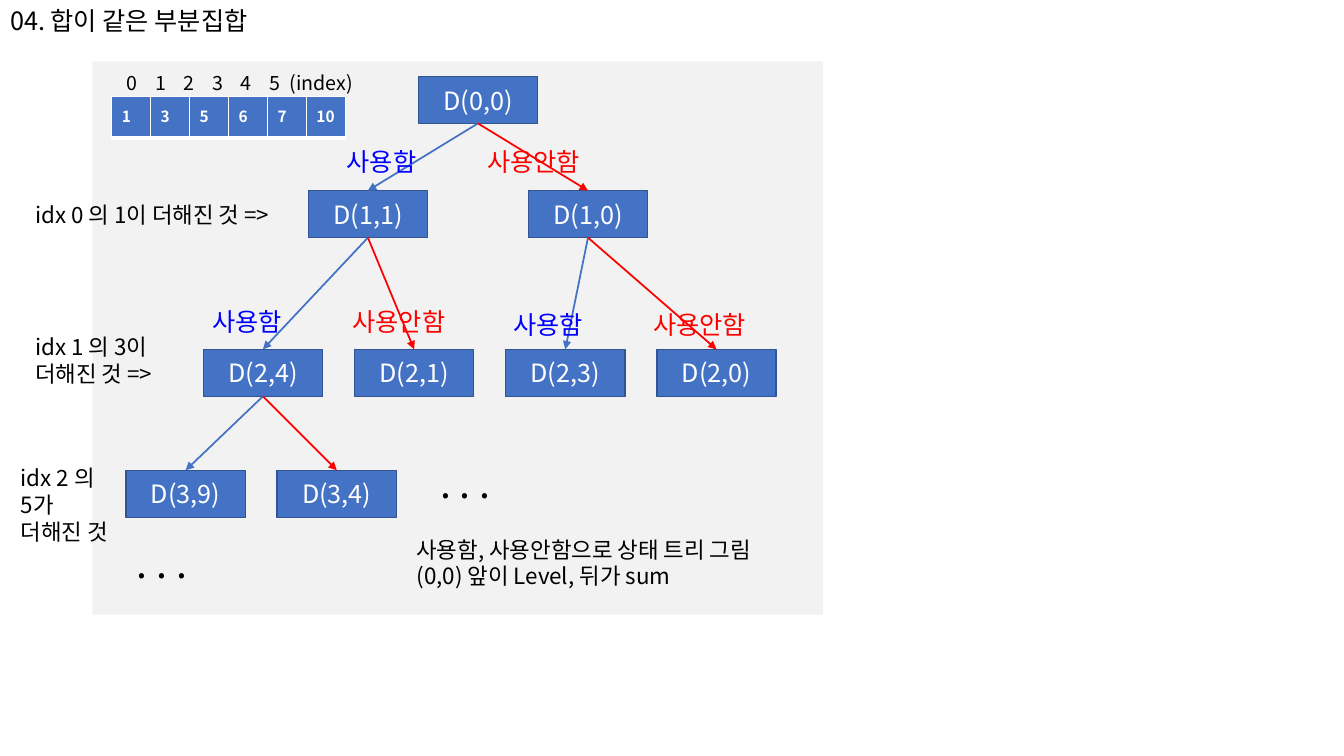
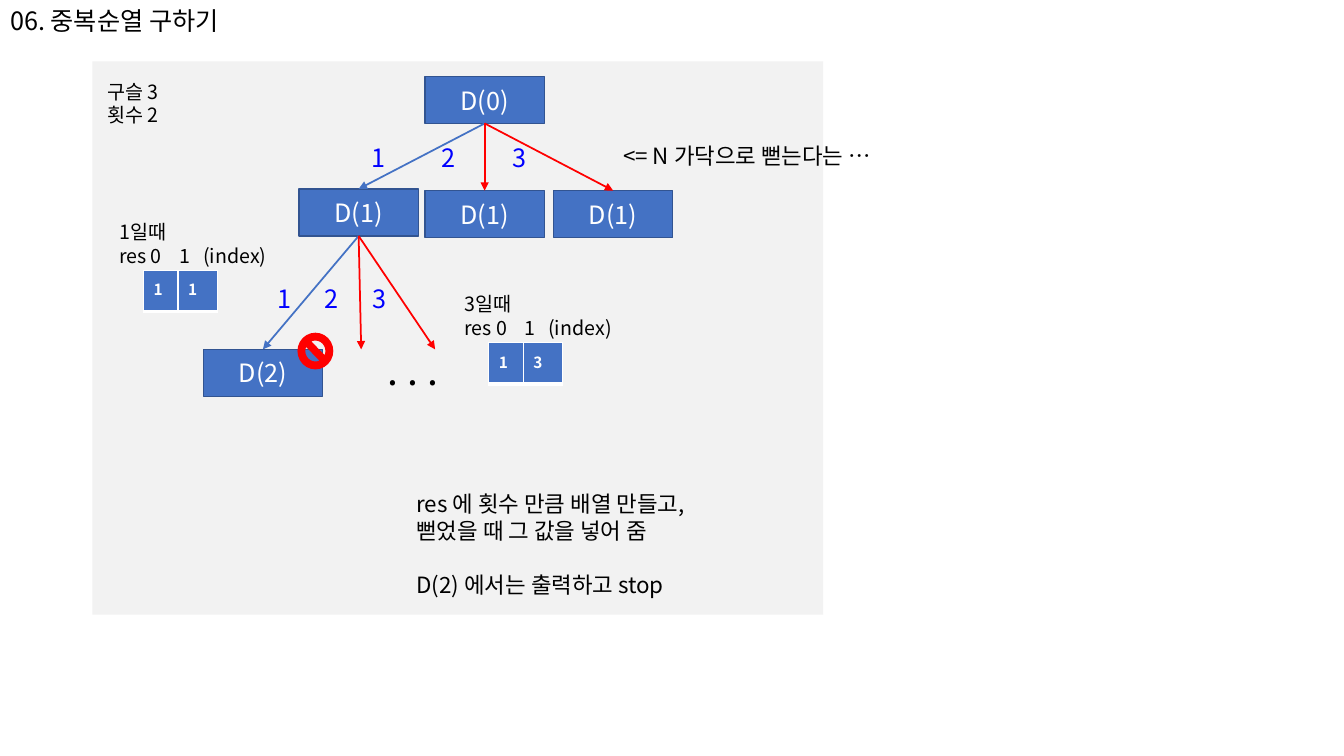
import lxml.etree
import pptx
import pptx.dml.color
import pptx.enum.shapes
import pptx.enum.text
import pptx.oxml.ns
import pptx.util

RGB = pptx.dml.color.RGBColor
SHAPE = pptx.enum.shapes.MSO_SHAPE
ALIGN = pptx.enum.text.PP_ALIGN
ANCHOR = pptx.enum.text.MSO_ANCHOR
Pt = pptx.util.Pt
qn = pptx.oxml.ns.qn

WHITE = RGB(0xFF, 0xFF, 0xFF)
BLACK = RGB(0, 0, 0)
GREY = RGB(0xF2, 0xF2, 0xF2)
STEEL = RGB(0x44, 0x72, 0xC4)
NAVY = RGB(0x32, 0x54, 0x91)
BLUE = RGB(0, 0, 0xFF)
RED = RGB(0xFF, 0, 0)

FONT = "Noto Sans CJK KR"
WIDTH, HEIGHT = pptx.util.Inches(13.33), pptx.util.Inches(7.5)
COLS = 160
NODE = 14.2, 5.6
DOTS = ". . ."


def grid(*cells):
    """Turn grid cells into lengths."""
    return [round(cell * WIDTH / COLS) for cell in cells]


def add(root, tag, **attrs):
    """Append an XML child with attributes."""
    node = lxml.etree.SubElement(root, qn(tag))
    for key, value in attrs.items():
        node.set(key, str(value))
    return node


def write(frame, text, size, color=BLACK, bold=False, align=ALIGN.LEFT, tabs=()):
    """Fill a text frame with evenly styled lines."""
    frame.text = text
    for para in frame.paragraphs:
        para.alignment = align
        para.line_spacing = Pt(size * 1.2)
        para.space_before = Pt(0)
        font = para.font
        font.size, font.bold, font.name = Pt(size), bold, FONT
        font.color.rgb = color
        base = para._p.pPr.find(qn("a:defRPr"))
        add(base, "a:ea", typeface=FONT)
        if tabs:
            stops = add(para._p.pPr, "a:tabLst")
            for stop in grid(*tabs):
                add(stops, "a:tab", pos=stop, algn="l")
            base.addprevious(stops)


def label(slide, x, y, w, text, size=16, color=BLACK, tabs=()):
    """Add a plain text box."""
    rows = text.count("\n") + 1
    box = slide.shapes.add_textbox(*grid(x, y, w, 1.2 + rows * size / 5))
    box.text_frame.word_wrap = True
    write(box.text_frame, text, size, color, tabs=tabs)
    return box.text_frame


def block(slide, kind, x, y, w, h, fill, line=None):
    """Add a flat filled shape."""
    shape = slide.shapes.add_shape(kind, *grid(x, y, w, h))
    shape.shadow.inherit = False
    shape.fill.solid()
    shape.fill.fore_color.rgb = fill
    if line is None:
        shape.line.fill.background()
    else:
        shape.line.color.rgb = line
        shape.line.width = Pt(1)
    return shape


def state(slide, x, y, text):
    """Add one state box of the tree."""
    shape = block(slide, SHAPE.RECTANGLE, x, y, *NODE, STEEL, NAVY)
    shape.text_frame.vertical_anchor = ANCHOR.MIDDLE
    write(shape.text_frame, text, 18, WHITE, align=ALIGN.CENTER)
    return shape


def arrow(slide, start, end, color):
    """Draw an arrow from a state to a state or a grid point."""
    point = grid(*end) if isinstance(end, tuple) else (end.left, end.top)
    kind = pptx.enum.shapes.MSO_CONNECTOR.STRAIGHT
    link = slide.shapes.add_connector(kind, 0, 0, *point)
    link.begin_connect(start, 2)
    if not isinstance(end, tuple):
        link.end_connect(end, 0)
    link.line.color.rgb = color
    link.line.width = Pt(1.25)
    add(link.line._get_or_add_ln(), "a:tailEnd", type="triangle")
    add(link._element.spPr, "a:effectLst")


def fan(slide, start, ends):
    """Draw a blue arrow to the first end and red ones to the rest."""
    for i, end in enumerate(ends):
        arrow(slide, start, end, RED if i else STEEL)


def array(slide, x, y, widths, values):
    """Add a one-row table of array values."""
    frame = slide.shapes.add_table(1, len(values), *grid(x, y, sum(widths), 4.9))
    table = frame.table
    for i, (width, value) in enumerate(zip(widths, values)):
        table.columns[i].width = grid(width)[0]
        cell = table.cell(0, i)
        cell.vertical_anchor = ANCHOR.MIDDLE
        write(cell.text_frame, str(value), 11, WHITE, True)
        props = cell._tc.get_or_add_tcPr()
        for side, points in zip("LRTB", (1, 1, 1, 3)):
            edge = add(props, "a:ln" + side, w=Pt(points))
            add(add(edge, "a:solidFill"), "a:srgbClr", val=WHITE)
        cell.fill.solid()
        cell.fill.fore_color.rgb = STEEL
        props.append(props.find(qn("a:solidFill")))


def choice(slide, x, y):
    """Label a pair of branches as used and unused."""
    label(slide, x, y, 12, "사용함", 18, BLUE)
    label(slide, x + 16.7, y, 16, "사용안함", 18, RED)


def result(slide, x, y, last):
    """Show the result array for one last pick."""
    array(slide, x + 4.1, y + 6.6, (4.1, 4.7), (1, last))
    label(slide, x, y, 22, f"{last}일때\nres 0\t1\t(index)", 14, tabs=(7.2, 10))


def start(deck, text):
    """Add a slide with its title and grey panel."""
    slide = deck.slides.add_slide(deck.slide_layouts[5])
    title = slide.shapes.title
    title.left, title.top, title.width, title.height = grid(0, 0, 40, 4.8)
    frame = title.text_frame
    frame.auto_size = pptx.enum.text.MSO_AUTO_SIZE.NONE
    frame.vertical_anchor = ANCHOR.TOP
    write(frame, text, 18)
    block(slide, SHAPE.RECTANGLE, 11, 7.3, 87, 65.9, GREY)
    return slide


def subset(deck):
    """Build the equal-sum subset slide."""
    slide = start(deck, "04. 합이 같은 부분집합")
    root = state(slide, 49.8, 9.1, "D(0,0)")
    mids = [state(slide, 36.7 + 26.2 * i, 22.7, f"D(1,{n})") for i, n in enumerate((1, 0))]
    lows = [state(slide, 24.2 + 18 * i, 41.6, f"D(2,{n})") for i, n in enumerate((4, 1, 3, 0))]
    ends = [state(slide, 15 + 18 * i, 56, f"D(3,{n})") for i, n in enumerate((9, 4))]
    for top, kids in ((root, mids), (mids[0], lows[:2]), (mids[1], lows[2:]), (lows[0], ends)):
        fan(slide, top, kids)
    for x, y in ((40.1, 16.8), (24.1, 35.9), (59.9, 36.2)):
        choice(slide, x, y)
    label(slide, 48.4, 63.2, 49, "사용함, 사용안함으로 상태 트리 그림\n(0,0) 앞이 Level, 뒤가 sum")
    for x, y in ((51.2, 54.1), (15.1, 63.6)):
        label(slide, x, y, 12, DOTS, 28)
    array(slide, 13.3, 11.5, [4.64] * 6, (1, 3, 5, 6, 7, 10))
    stops = [3.4 * i for i in range(1, 6)] + [19.4]
    label(slide, 13.9, 7.8, 36, "0\t1\t2\t3\t4\t5\t(index)", 14, tabs=stops)
    label(slide, 3, 23.3, 36, "idx 0 의 1이 더해진 것 =>")
    label(slide, 3, 39.1, 20, "idx 1 의 3이\n더해진 것 =>")
    label(slide, 1.3, 54.7, 15, "idx 2 의\n5가\n더해진 것")


def repeat(deck):
    """Build the repeated permutation slide."""
    slide = start(deck, "06. 중복순열 구하기")
    root = state(slide, 50.6, 9.1, "D(0)")
    spots = (35.6, 22.5), (50.6, 22.7), (65.9, 22.7)
    mids = [state(slide, x, y, "D(1)") for x, y in spots]
    low = state(slide, 24.2, 41.6, "D(2)")
    fan(slide, root, mids)
    fan(slide, mids[0], (low, (43, 41.6), (51.8, 41.6)))
    block(slide, SHAPE.NO_SYMBOL, 35.5, 39.7, 4.1, 4.2, RED, RED)
    for x, y, step in ((43, 16.4, 8.4), (31.8, 33.1, 5.7)):
        label(slide, x, y, 29, "1\t2\t3", 18, BLUE, (step, 2 * step))
    note = "res 에 횟수 만큼 배열 만들고,\n뻗었을 때 그 값을 넣어 줌\nD(2) 에서는 출력하고 stop"
    frame = label(slide, 48.4, 57.8, 44, note)
    frame.paragraphs[2].space_before = Pt(19.2)
    label(slide, 45, 40.6, 12, DOTS, 28)
    label(slide, 11.6, 8.9, 12, "구슬 3\n횟수 2", 14)
    result(slide, 13, 25.6, 1)
    result(slide, 54.1, 34.2, 3)
    label(slide, 73, 16.3, 40, "<= N 가닥으로 뻗는다는 …")


def main():
    """Build and save the deck."""
    deck = pptx.Presentation()
    deck.slide_width, deck.slide_height = WIDTH, HEIGHT
    subset(deck)
    repeat(deck)
    deck.save("out.pptx")


if __name__ == "__main__":
    main()
